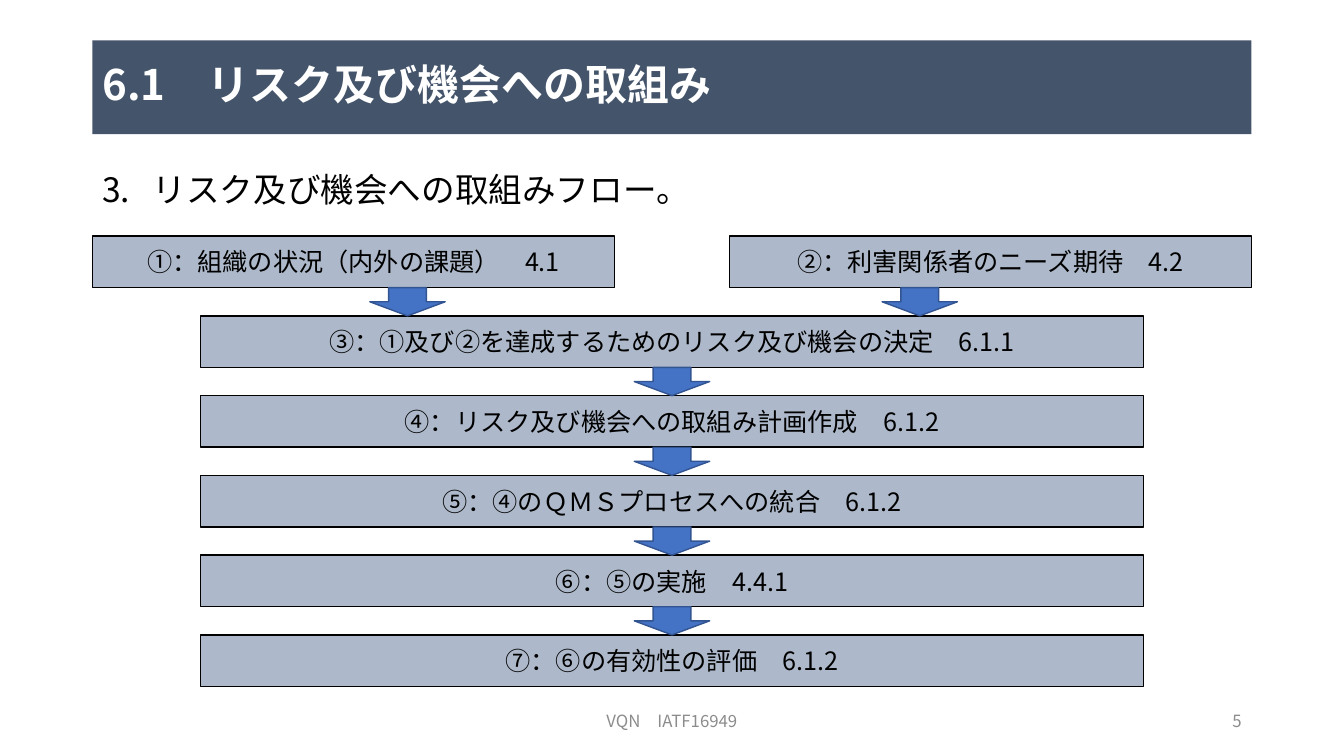
from dataclasses import dataclass
from lxml.etree import SubElement
from pptx import Presentation
from pptx.dml.color import RGBColor
from pptx.enum.shapes import MSO_SHAPE
from pptx.enum.text import MSO_ANCHOR, PP_ALIGN
from pptx.oxml.ns import qn
from pptx.util import Cm, Pt

# Content
TITLE = "6.1　リスク及び機会への取組み"
HEADING = "リスク及び機会への取組みフロー。"
HEADING_NUMBER = 3
INPUTS = ["①：組織の状況（内外の課題）　4.1", "②：利害関係者のニーズ期待　4.2"]
STEPS = [
    "➂：①及び②を達成するためのリスク及び機会の決定　6.1.1",
    "➃：リスク及び機会への取組み計画作成　6.1.2",
    "➄：➃のＱＭＳプロセスへの統合　6.1.2",
    "⑥：➄の実施　4.4.1",
    "⑦：⑥の有効性の評価　6.1.2",
]
FOOTER = "VQN　IATF16949"
PAGE_NUMBER = "5"


@dataclass(frozen=True)
class Theme:
    font: str = "Noto Sans CJK JP"
    black: str = "000000"
    white: str = "FFFFFF"
    gray: str = "8C8C8C"
    banner: str = "44546A"
    box: str = "ADB9CA"
    arrow: str = "4472C4"
    arrow_line: str = "325491"
    title_size: int = 30
    heading_size: int = 24
    box_size: int = 18
    footer_size: int = 12


THEME = Theme()

# Layout in centimetres
PAGE_WIDTH, PAGE_HEIGHT = 33.87, 19.05
MARGIN, CONTENT_WIDTH = 2.33, 29.21
INPUT_WIDTH, STEP_WIDTH = 13.16, 23.77
ROW_TOP, ROW_PITCH, BOX_HEIGHT = 5.95, 2.01, 1.3
ARROW_WIDTH, ARROW_HEIGHT = 1.9, ROW_PITCH - BOX_HEIGHT
INPUT_ARROW_CENTERS = [10.27, 23.18]
FOOTER_TOP, FOOTER_HEIGHT = 17.65, 1.01

deck = Presentation()
deck.slide_width, deck.slide_height = Cm(PAGE_WIDTH), Cm(PAGE_HEIGHT)
page = deck.slides.add_slide(deck.slide_layouts[6])


def write(shape, text, size, color, align=PP_ALIGN.LEFT, bold=False, anchor=MSO_ANCHOR.MIDDLE):
    frame = shape.text_frame
    frame.word_wrap = True
    frame.vertical_anchor = anchor
    para = frame.paragraphs[0]
    para.alignment = align
    span = para.add_run()
    span.text = text
    span.font.name = THEME.font
    span.font.size = Pt(size)
    span.font.bold = bold
    span.font.color.rgb = RGBColor.from_string(color)
    SubElement(span.font._element, qn("a:ea")).set("typeface", THEME.font)
    return para


def add_block(kind, left, top, width, height, fill, line=None):
    shape = page.shapes.add_shape(kind, Cm(left), Cm(top), Cm(width), Cm(height))
    shape.shadow.inherit = False
    shape.fill.solid()
    shape.fill.fore_color.rgb = RGBColor.from_string(fill)
    if line:
        shape.line.color.rgb = RGBColor.from_string(line)
        shape.line.width = Pt(1)
    else:
        shape.line.fill.background()
    return shape


def add_text_box(left, top, width, height):
    return page.shapes.add_textbox(Cm(left), Cm(top), Cm(width), Cm(height))


def add_flow_box(text, left, row, width):
    box = add_block(MSO_SHAPE.RECTANGLE, left, ROW_TOP + row * ROW_PITCH, width, BOX_HEIGHT,
                    THEME.box, THEME.black)
    write(box, text, THEME.box_size, THEME.black, PP_ALIGN.CENTER)


def add_flow_arrow(center, row):
    add_block(MSO_SHAPE.DOWN_ARROW, center - ARROW_WIDTH / 2,
              ROW_TOP + row * ROW_PITCH + BOX_HEIGHT, ARROW_WIDTH, ARROW_HEIGHT,
              THEME.arrow, THEME.arrow_line)


# Title banner
banner = add_block(MSO_SHAPE.RECTANGLE, MARGIN, 1.02, CONTENT_WIDTH, 2.36, THEME.banner)
write(banner, TITLE, THEME.title_size, THEME.white, bold=True).line_spacing = 0.9

# Numbered heading
heading = add_text_box(MARGIN, 4.24, CONTENT_WIDTH, 1.4)
para = write(heading, HEADING, THEME.heading_size, THEME.black, anchor=MSO_ANCHOR.TOP)
para.line_spacing = 0.9
properties = para._p.get_or_add_pPr()
properties.set("marL", str(Cm(1.27)))
properties.set("indent", str(-Cm(1.27)))
number = SubElement(properties, qn("a:buAutoNum"))
number.set("type", "arabicPeriod")
number.set("startAt", str(HEADING_NUMBER))

# Flow boxes: two inputs side by side, then one centred step per row
for text, left in zip(INPUTS, [MARGIN, MARGIN + CONTENT_WIDTH - INPUT_WIDTH]):
    add_flow_box(text, left, 0, INPUT_WIDTH)
for row, text in enumerate(STEPS, start=1):
    add_flow_box(text, (PAGE_WIDTH - STEP_WIDTH) / 2, row, STEP_WIDTH)

# Arrows in the gaps between rows
for center in INPUT_ARROW_CENTERS:
    add_flow_arrow(center, 0)
for row in range(1, len(STEPS)):
    add_flow_arrow(PAGE_WIDTH / 2, row)

# Footer and page number
footer = add_text_box((PAGE_WIDTH - 11.43) / 2, FOOTER_TOP, 11.43, FOOTER_HEIGHT)
write(footer, FOOTER, THEME.footer_size, THEME.gray, PP_ALIGN.CENTER)
page_number = add_text_box(MARGIN + CONTENT_WIDTH - 7.62, FOOTER_TOP, 7.62, FOOTER_HEIGHT)
write(page_number, PAGE_NUMBER, THEME.footer_size, THEME.gray, PP_ALIGN.RIGHT)

deck.save("out.pptx")
